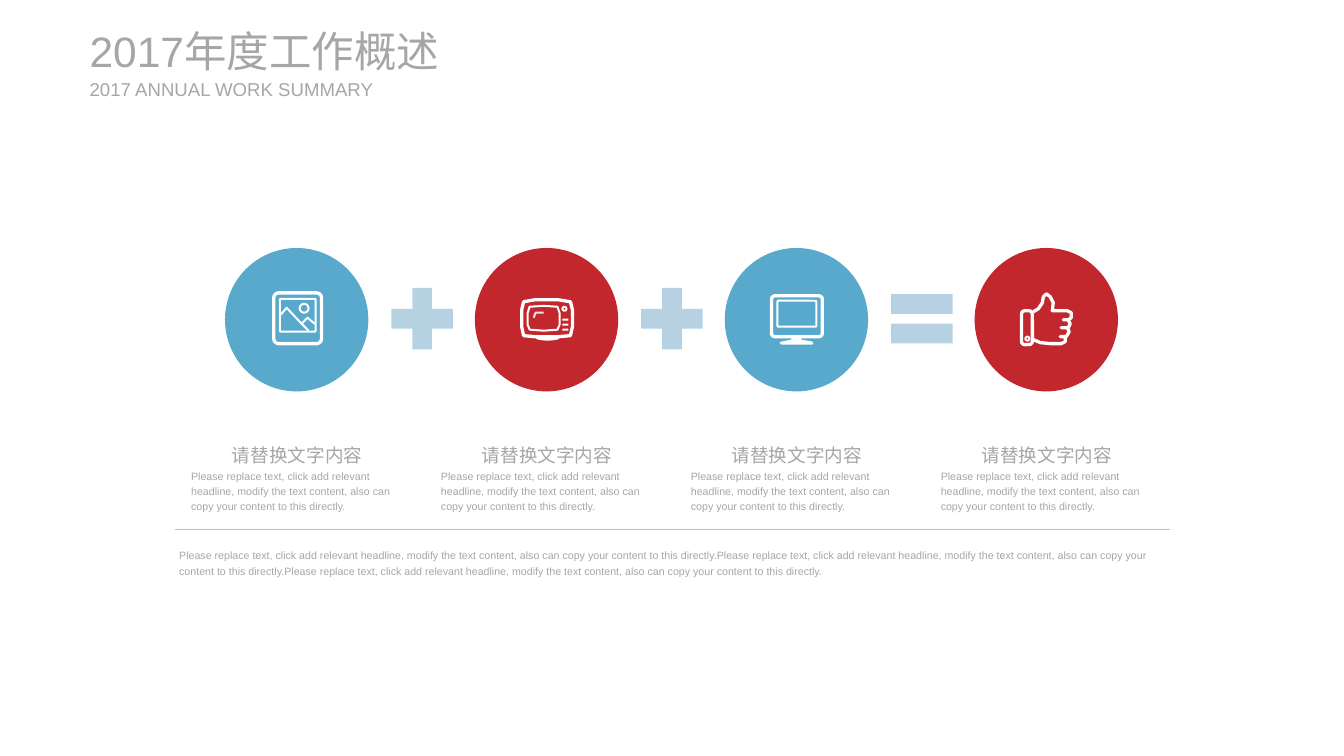
from pptx import Presentation
from pptx.dml.color import RGBColor as RGB
from pptx.enum.shapes import MSO_CONNECTOR as LINK, MSO_SHAPE as KIND
from pptx.enum.text import MSO_ANCHOR as ANCHOR, MSO_AUTO_SIZE as AUTO, PP_ALIGN as ALIGN
from pptx.oxml.ns import qn
from pptx.oxml.xmlchemy import OxmlElement as Node
from pptx.util import Pt

PX = 9525
COLORS = {
    "blue": "58A9CC", "red": "C1272D", "pale": "B5D1E2", "white": "FFFFFF",
    "glare": "E7E6E6", "gray": "A6A6A6", "rule": "BFBFBF",
}
HEAD = "请替换文字内容"
BODY = ("Please replace text, click add relevant headline, modify the text content, "
        "also can copy your content to this directly.")

deck = Presentation()
deck.slide_width, deck.slide_height = 1350 * PX, 759 * PX
slide = deck.slides.add_slide(deck.slide_layouts[6])
shapes = slide.shapes


def paint(shape, fill=None, line=None, width=1):
    shape.shadow.inherit = False
    if fill:
        shape.fill.solid()
        shape.fill.fore_color.rgb = RGB.from_string(COLORS[fill])
    else:
        shape.fill.background()
    if line:
        shape.line.color.rgb = RGB.from_string(COLORS[line])
        shape.line.width = Pt(width)
        shape._element.spPr.find(qn("a:ln")).append(Node("a:round"))
    else:
        shape.line.fill.background()


def write(text, x, y, w, h, size=8, align=ALIGN.LEFT, anchor=ANCHOR.TOP, gap=1.2, wrap=True):
    box = shapes.add_textbox(x * PX, y * PX, w * PX, h * PX)
    frame = box.text_frame
    frame.margin_left = frame.margin_right = frame.margin_top = frame.margin_bottom = 0
    frame.word_wrap = wrap
    frame.auto_size = AUTO.SHAPE_TO_FIT_TEXT
    frame.vertical_anchor = anchor
    para = frame.paragraphs[0]
    para.alignment = align
    para.line_spacing = gap
    run = para.add_run()
    run.text = text
    run.font.name = "Arial"
    run.font.size = Pt(size)
    run.font.color.rgb = RGB.from_string(COLORS["gray"])


# Title
write("2017年度工作概述", 90, 25, 415, 52, size=32, anchor=ANCHOR.MIDDLE, gap=1.0)
write("2017 ANNUAL WORK SUMMARY", 90, 78, 295, 23, size=14, anchor=ANCHOR.MIDDLE, gap=1.0)

# Four columns: circle, sign to its right, heading and text
signs = [KIND.MATH_PLUS, KIND.MATH_PLUS, KIND.MATH_EQUAL, None]
for i, sign in enumerate(signs):
    x = 226 + 251 * i
    disc = shapes.add_shape(KIND.OVAL, x * PX, 249 * PX, 144 * PX, 144 * PX)
    paint(disc, fill="red" if i % 2 else "blue")
    if sign:
        mark = shapes.add_shape(sign, (x + 156) * PX, 278 * PX, 84 * PX, 84 * PX)
        paint(mark, fill="pale")
    write(HEAD, x + 3, 441, 139, 27, size=14, align=ALIGN.CENTER, wrap=False)
    write(BODY, x - 34, 469, 214, 45)

# Icon rings: kind, x, y, w, h, line width, corner
rings = [
    (KIND.ROUNDED_RECTANGLE, 275, 294, 48, 51, 2.5, 0.1),   # photo frame
    (KIND.ROUNDED_RECTANGLE, 281, 300, 36, 33, 1.5, 0.03),
    (KIND.OVAL, 301, 305, 9, 9, 1.5, None),                 # sun
    (KIND.OVAL, 565, 308, 4, 4, 1.5, None),                 # television knob
    (KIND.ROUNDED_RECTANGLE, 775, 297, 51, 41, 2.5, 0.08),  # monitor
    (KIND.ROUNDED_RECTANGLE, 781, 302, 39, 26, 1.5, 0.03),
    (KIND.ROUNDED_RECTANGLE, 1026, 312, 11, 34, 2.5, 0.3),  # cuff
    (KIND.OVAL, 1030, 338, 4, 4, 1.5, None),
]
for kind, x, y, w, h, width, corner in rings:
    ring = shapes.add_shape(kind, x * PX, y * PX, w * PX, h * PX)
    if corner:
        ring.adjustments[0] = corner
    paint(ring, line="white", width=width)

# Television foot and buttons
foot = shapes.add_shape(KIND.OVAL, 538 * PX, 337 * PX, 24 * PX, 5 * PX)
paint(foot, fill="white")
for i in range(3):
    key = shapes.add_shape(KIND.ROUNDED_RECTANGLE, 565 * PX, (320 + 5 * i) * PX, 6 * PX, 2 * PX)
    paint(key, fill="white")

# Icon outlines: points, closed, fill, line, line width
mounts = [(282, 316), (288, 309), (303, 325), (309, 319), (316, 325),
          (309, 319), (303, 325), (310, 332)]
tube = [(526, 303), (537, 301), (549, 301), (561, 301), (573, 303), (575, 311), (575, 328),
        (573, 337), (561, 338), (537, 338), (526, 337), (524, 328), (524, 311)]
screen = [(532, 308), (546, 307), (560, 308), (562, 314), (562, 326),
          (560, 331), (546, 332), (532, 331), (530, 326), (530, 314)]
glare = [(536, 319), (538, 314), (546, 314)]
stand = [(795, 338), (805, 338), (805, 341), (816, 343), (817, 345), (816, 346),
         (785, 346), (783, 344), (785, 343), (795, 341)]
thumb = [(1038, 313), (1043, 310), (1047, 304), (1048, 298), (1051, 295), (1055, 298),
         (1058, 304), (1057, 312), (1072, 312), (1076, 314), (1076, 319), (1073, 321),
         (1068, 321), (1073, 321), (1075, 325), (1073, 329), (1066, 329), (1072, 329),
         (1074, 333), (1071, 338), (1065, 338), (1070, 338), (1070, 343), (1066, 345),
         (1055, 345), (1045, 344), (1038, 341)]
lines = [
    (mounts, False, None, "white", 1.5),
    (tube, True, None, "white", 2.5),
    (screen, True, None, "white", 1.5),
    (glare, False, None, "glare", 1.5),
    (stand, True, "white", None, 0),
    (thumb, False, None, "white", 2.5),
]
for points, closed, fill, line, width in lines:
    pen = shapes.build_freeform(*points[0], scale=PX)
    pen.add_line_segments(points[1:], close=closed)
    paint(pen.convert_to_shape(), fill, line, width)

# Rule and closing text
rule = shapes.add_connector(LINK.STRAIGHT, 176 * PX, 531 * PX, 1175 * PX, 531 * PX)
rule.line.color.rgb = RGB.from_string(COLORS["rule"])
rule.line.width = Pt(0.5)
rule._element.spPr.append(Node("a:effectLst"))
write(BODY * 3, 180, 549, 991, 30)

deck.save("out.pptx")
